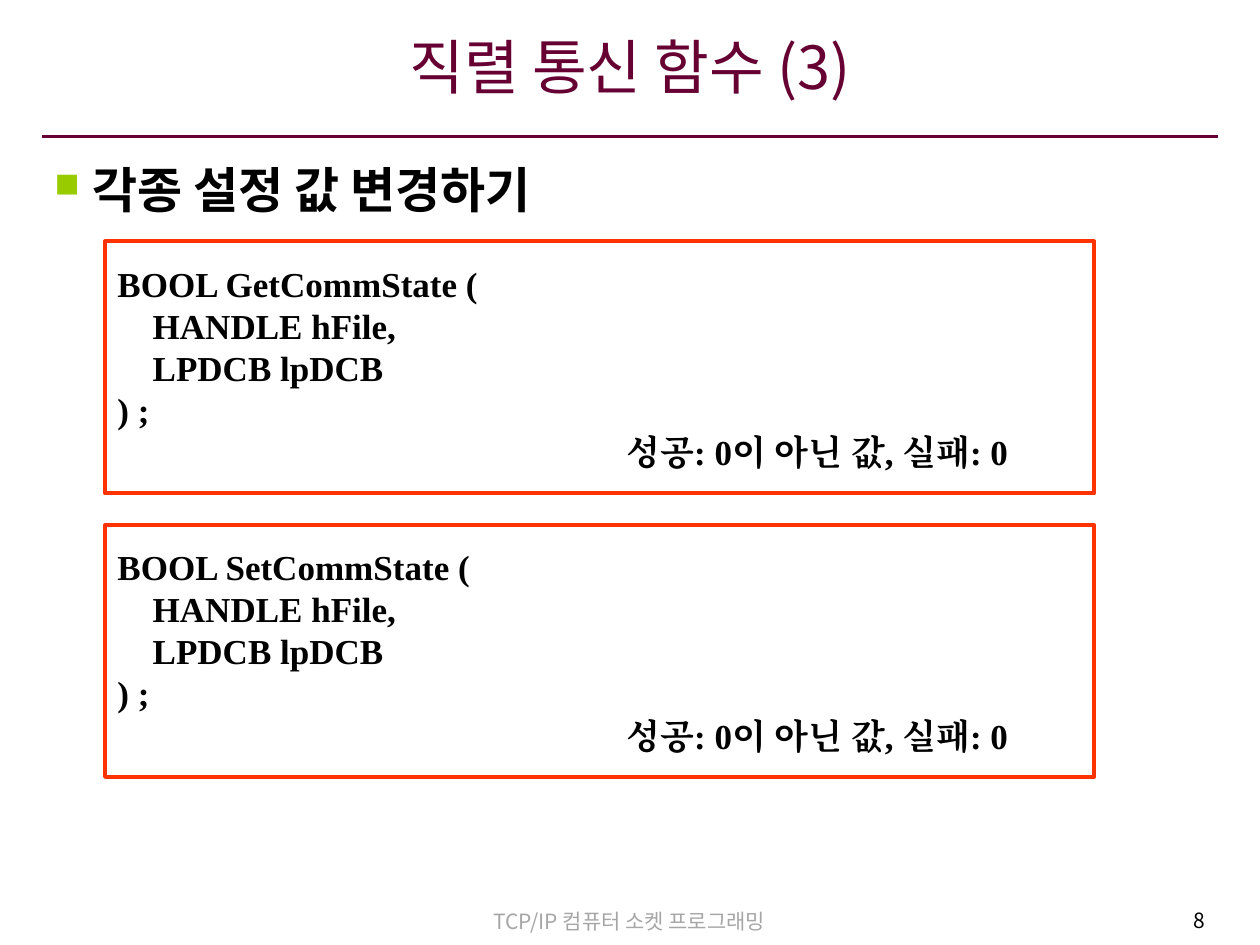
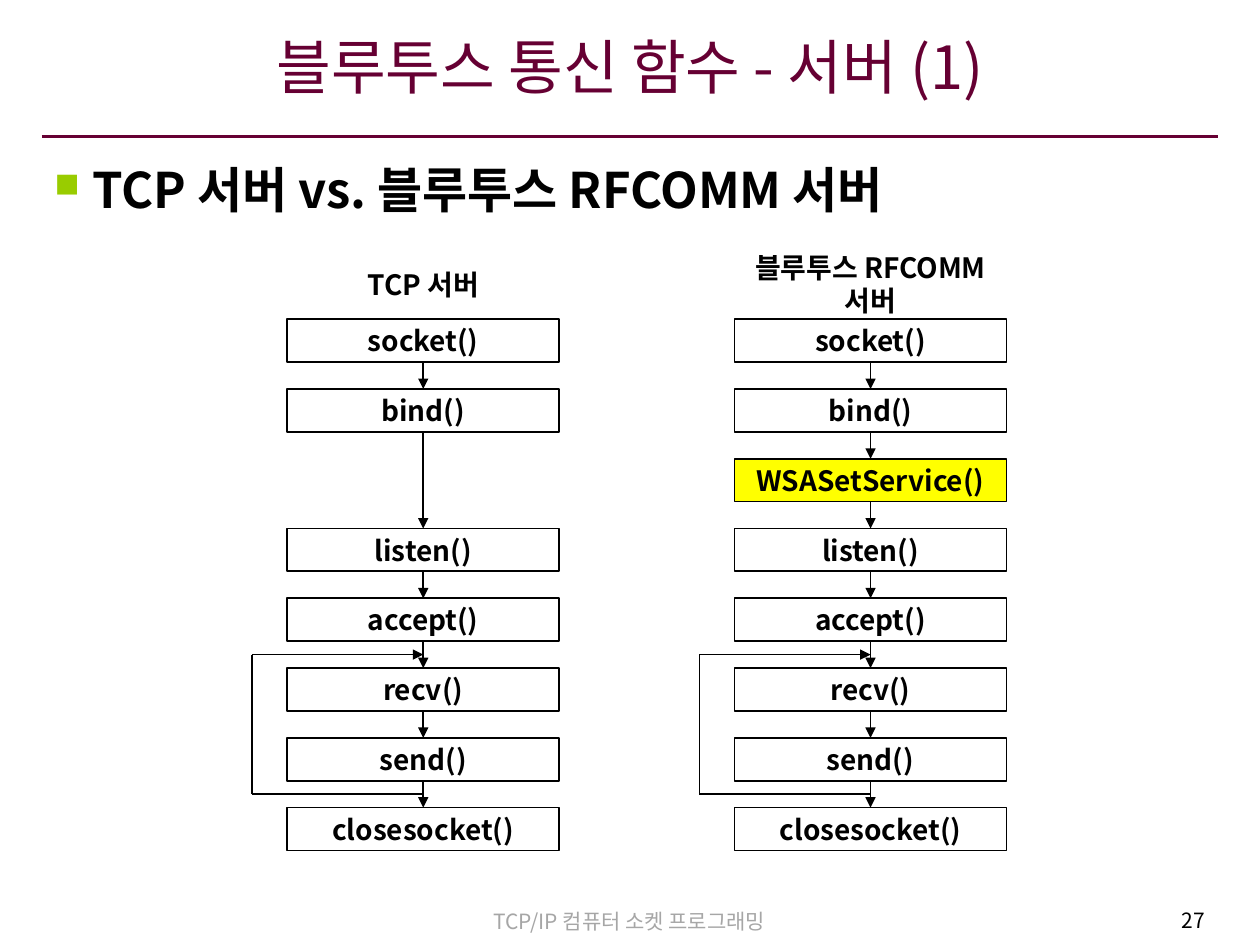
from collections import namedtuple
from itertools import pairwise

from lxml.etree import SubElement
from pptx import Presentation
from pptx.dml.color import RGBColor
from pptx.enum.shapes import MSO_CONNECTOR, MSO_SHAPE
from pptx.enum.text import MSO_ANCHOR, PP_ALIGN
from pptx.oxml.ns import qn
from pptx.util import Inches, Pt

PLUM = RGBColor(0x66, 0x00, 0x33)
LIME = RGBColor(0x99, 0xCC, 0x00)
ORANGE = RGBColor(0xFF, 0x33, 0x00)
YELLOW = RGBColor(0xFF, 0xFF, 0x00)
GRAY = RGBColor(0xA6, 0xA6, 0xA6)
BLACK = RGBColor(0x00, 0x00, 0x00)

SANS = "Noto Sans CJK KR"
SERIF = "Times New Roman"

WIDTH, HEIGHT = Inches(10), Inches(7.5)
COLUMNS, ROWS = 120, 90

# Boxes are measured in columns and rows of the slide grid.
Box = namedtuple("Box", "left top width height")
TITLE = Box(4, 1.8, 112, 10.2)
RULE_ROW = 13
BODY = Box(4, 14.64, 112, 70.3)
FOOTER = Box(34.44, 85.9, 51, 3.6)
PAGE_NUMBER = Box(90.5, 85.8, 25.44, 3.96)
PROTOTYPE = Box(10, 23, 94.2, 24)
PROTOTYPE_PITCH = 27
FLOW = Box(27.36, 25, 25.9, 56)
FLOW_PITCH = 42.6
STEP_HEIGHT = 4.08
FIRST_STEP = 5.4
LOOP_REACH = 3.36

FOOTER_TEXT = "TCP/IP 컴퓨터 소켓 프로그래밍"
RESULT = "성공: 0이 아닌 값, 실패: 0"
HIGHLIGHTED = "WSASetService()"
TCP_STEPS = ["socket()", "bind()", None, "listen()", "accept()",
             "recv()", "send()", "closesocket()"]
RFCOMM_STEPS = [step or HIGHLIGHTED for step in TCP_STEPS]


def across(columns):
    return round(WIDTH * columns / COLUMNS)


def down(rows):
    return round(HEIGHT * rows / ROWS)


def place(box):
    return (across(box.left), down(box.top),
            across(box.width), down(box.height))


def write(shape, *lines, size, font=SANS, color=BLACK, bold=False,
          align=PP_ALIGN.LEFT, anchor=MSO_ANCHOR.MIDDLE, wrap=True,
          indents=()):
    """Fill a shape with one paragraph a line; indents are in inches."""
    frame = shape.text_frame
    frame.word_wrap = wrap
    frame.vertical_anchor = anchor
    for index, line in enumerate(lines):
        paragraph = frame.add_paragraph() if index else frame.paragraphs[0]
        paragraph.alignment = align
        if indents:
            paragraph._p.get_or_add_pPr().set("marL", str(Inches(indents[index])))
        run = paragraph.add_run()
        run.text = line
        run.font.size = Pt(size)
        run.font.bold = bold
        run.font.color.rgb = color
        run.font.name = font
        SubElement(run._r.get_or_add_rPr(), qn("a:ea"), typeface=font)
    return frame


def add_text(slide, box, *lines, **style):
    return write(slide.shapes.add_textbox(*place(box)), *lines, **style)


def add_frame(slide, box, color, weight, fill=None):
    frame = slide.shapes.add_shape(MSO_SHAPE.RECTANGLE, *place(box))
    frame.shadow.inherit = False
    frame.line.color.rgb = color
    frame.line.width = Pt(weight)
    if fill is None:
        frame.fill.background()
    else:
        frame.fill.solid()
        frame.fill.fore_color.rgb = fill
    return frame


def add_line(slide, start, end, color=BLACK, weight=1, arrow=False):
    line = slide.shapes.add_connector(
        MSO_CONNECTOR.STRAIGHT, across(start[0]), down(start[1]),
        across(end[0]), down(end[1]))
    line.line.color.rgb = color
    line.line.width = Pt(weight)
    if arrow:
        SubElement(line.line._get_or_add_ln(), qn("a:tailEnd"), type="triangle")
    SubElement(line._element.spPr, qn("a:effectLst"))
    return line


def add_heading(slide, box, text):
    """Place the square-bulleted heading at the top of the body."""
    frame = add_text(slide, box, text, size=28, bold=True,
                     anchor=MSO_ANCHOR.TOP, indents=[0.3])
    paragraph = frame.paragraphs[0]
    paragraph.space_before = Pt(7)
    properties = paragraph._p.get_or_add_pPr()
    properties.set("indent", str(-Inches(0.3)))
    bullet_color = SubElement(properties, qn("a:buClr"))
    SubElement(bullet_color, qn("a:srgbClr"), val=str(LIME))
    SubElement(properties, qn("a:buSzPct"), val="70000")
    SubElement(properties, qn("a:buChar"), char="■")


def add_base(deck, title, heading, number):
    """Start a slide with the title, rule, heading and footer all slides share."""
    slide = deck.slides.add_slide(deck.slide_layouts[6])
    add_line(slide, (TITLE.left, RULE_ROW),
             (TITLE.left + TITLE.width, RULE_ROW), PLUM, 2.25)
    add_text(slide, FOOTER, FOOTER_TEXT, size=12, color=GRAY,
             align=PP_ALIGN.CENTER, anchor=MSO_ANCHOR.TOP)
    add_text(slide, PAGE_NUMBER, str(number), size=12,
             align=PP_ALIGN.RIGHT, anchor=MSO_ANCHOR.TOP)
    title_frame = add_text(slide, TITLE, title, size=34, color=PLUM,
                           align=PP_ALIGN.CENTER)
    title_frame.margin_left = title_frame.margin_right = Inches(0.08)
    title_frame.margin_bottom = Inches(0.16)
    add_heading(slide, BODY, heading)
    return slide


def add_prototype(slide, box, function):
    """Frame a function's signature and its return values."""
    write(add_frame(slide, box, ORANGE, 2.25),
          f"BOOL {function} (", "HANDLE hFile,", "LPDCB lpDCB", ") ;", RESULT,
          size=20, font=SERIF, bold=True, indents=[0, 0.28, 0.28, 0, 4.04])


def add_loop(slide, box, leave_row, return_row):
    """Lead the flow back from one gap between steps to an earlier one."""
    center = box.left + box.width / 2
    outer = box.left - LOOP_REACH
    add_line(slide, (center, leave_row), (outer, leave_row))
    add_line(slide, (outer, leave_row), (outer, return_row), weight=0.75)
    add_line(slide, (outer, return_row), (center, return_row), arrow=True)


def add_flow(slide, box, caption, calls):
    """Stack the calls evenly under a caption; None leaves its row empty."""
    label = dict(size=16, bold=True, align=PP_ALIGN.CENTER, wrap=False)
    add_text(slide, box._replace(height=STEP_HEIGHT), caption, **label)

    pitch = (box.height - FIRST_STEP - STEP_HEIGHT) / (len(calls) - 1)
    tops = [box.top + FIRST_STEP + index * pitch for index in range(len(calls))]
    steps = []
    for call, top in zip(calls, tops):
        if call:
            fill = YELLOW if call == HIGHLIGHTED else None
            step = add_frame(slide, box._replace(top=top, height=STEP_HEIGHT),
                             BLACK, 1, fill)
            write(step, call, **label)
            steps.append(step)
    for upper, lower in pairwise(steps):
        arrow = add_line(slide, (0, 0), (0, 0), arrow=True)
        arrow.begin_connect(upper, 2)
        arrow.end_connect(lower, 0)

    half_gap = (pitch - STEP_HEIGHT) / 2
    add_loop(slide, box, tops[calls.index("closesocket()")] - half_gap,
             tops[calls.index("recv()")] - half_gap)


def add_prototype_slide(deck):
    slide = add_base(deck, "직렬 통신 함수 (3)", "각종 설정 값 변경하기", 8)
    for index, function in enumerate(["GetCommState", "SetCommState"]):
        top = PROTOTYPE.top + index * PROTOTYPE_PITCH
        add_prototype(slide, PROTOTYPE._replace(top=top), function)


def add_comparison_slide(deck):
    slide = add_base(deck, "블루투스 통신 함수 - 서버 (1)",
                     "TCP 서버 vs. 블루투스 RFCOMM 서버", 27)
    flows = [("TCP 서버", TCP_STEPS), ("블루투스 RFCOMM 서버", RFCOMM_STEPS)]
    for index, (caption, calls) in enumerate(flows):
        left = FLOW.left + index * FLOW_PITCH
        add_flow(slide, FLOW._replace(left=left), caption, calls)


def main():
    deck = Presentation()
    deck.slide_width, deck.slide_height = WIDTH, HEIGHT
    add_prototype_slide(deck)
    add_comparison_slide(deck)
    deck.save("out.pptx")


if __name__ == "__main__":
    main()
